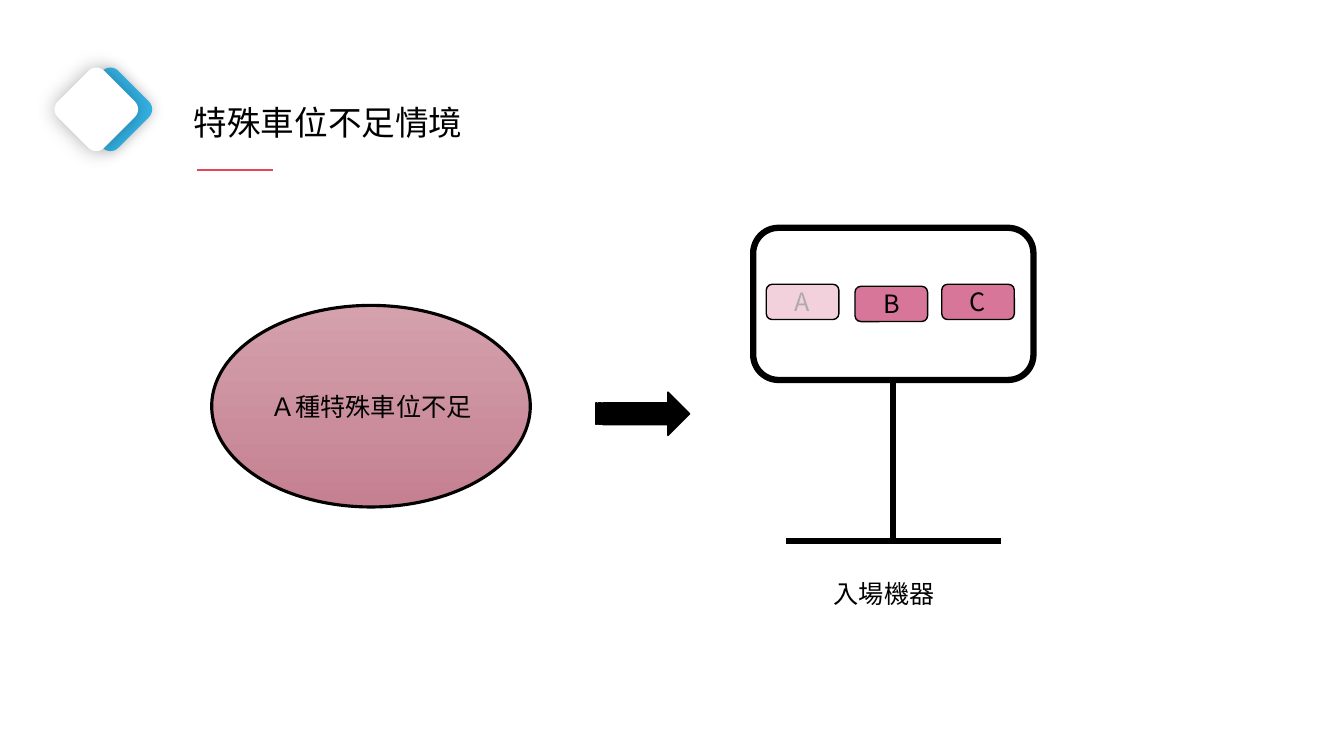
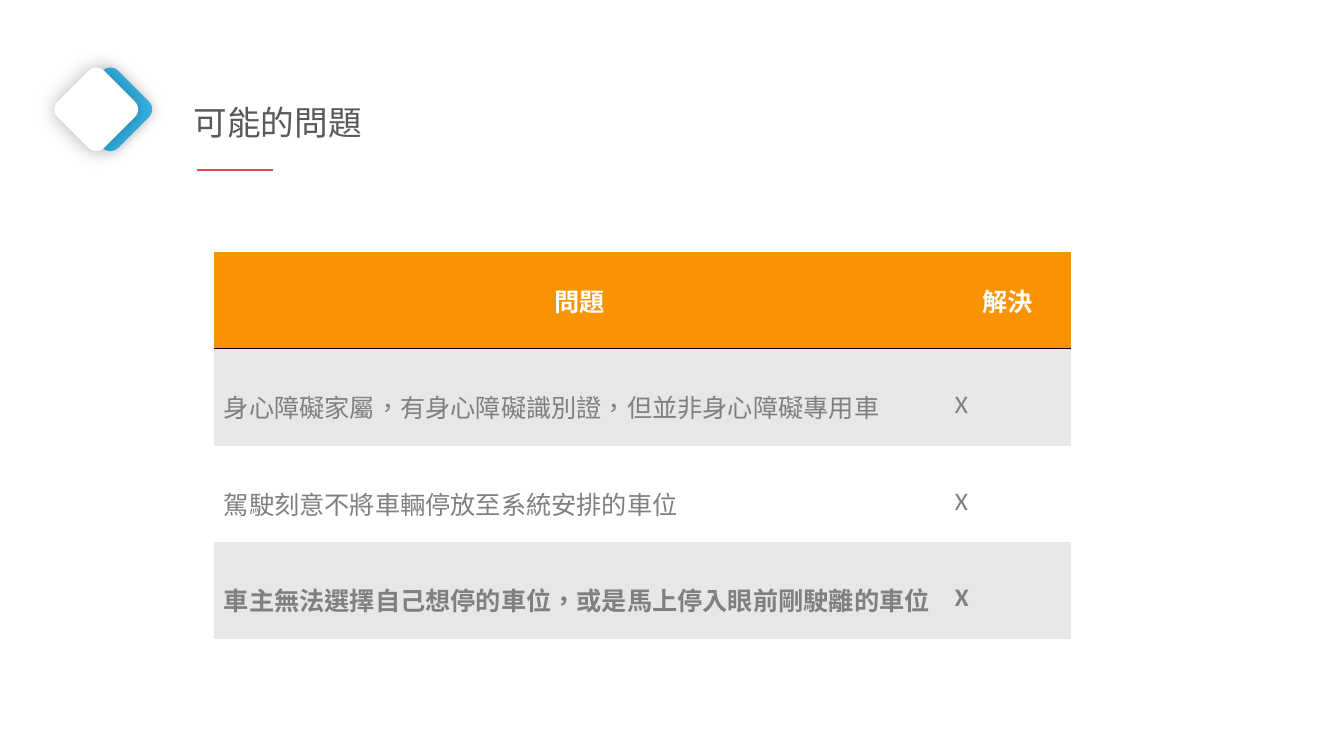
import lxml.etree
import pptx
import pptx.dml.color
import pptx.enum.dml
import pptx.enum.lang
import pptx.enum.shapes
import pptx.enum.text
import pptx.oxml
import pptx.oxml.ns
import pptx.util

Inches = pptx.util.Inches
Pt = pptx.util.Pt
qn = pptx.oxml.ns.qn
SHAPE = pptx.enum.shapes.MSO_SHAPE
ALIGN = pptx.enum.text.PP_ALIGN
ANCHOR = pptx.enum.text.MSO_ANCHOR

CJK_FONT = "Noto Sans CJK SC"
LATIN_FONT = "Calibri"
BLACK, WHITE, RED, BLUE = "000000", "FFFFFF", "E14956", "34B2E4"
ORANGE, STRIPE, GRAY, TITLE_GRAY = "F99302", "E7E7E7", "808080", "595959"
ROSE, PALE_ROSE, FADED = "D77699", "F2D1DD", "AFABAB"
NO_STYLE = "{2D5ABB26-0587-4C30-8999-92F81FD0307C}"


def rgb(value):
    """Turn a hex string into a colour."""
    return pptx.dml.color.RGBColor.from_string(value)


def write(frame, text, size=18, font=CJK_FONT, color=BLACK, bold=False,
          align=ALIGN.LEFT, spacing=1.0):
    """Write one formatted paragraph into a text frame."""
    paragraph = frame.paragraphs[0]
    paragraph.alignment = align
    paragraph.line_spacing = spacing
    run = paragraph.add_run()
    run.text = text
    run.font.size = Pt(size)
    run.font.name = font
    run.font.bold = bold
    run.font.color.rgb = rgb(color)
    run.font.language_id = pptx.enum.lang.MSO_LANGUAGE_ID.TRADITIONAL_CHINESE
    east_asian = lxml.etree.Element(qn("a:ea"), typeface=CJK_FONT)
    run.font._element.find(qn("a:latin")).addnext(east_asian)


def add_block(slide, preset, left, top, width, height, fill=None, line=None, weight=1):
    """Add a preset shape with a plain fill and outline."""
    block = slide.shapes.add_shape(
        preset, Inches(left), Inches(top), Inches(width), Inches(height))
    block.shadow.inherit = False
    if fill:
        block.fill.solid()
        block.fill.fore_color.rgb = rgb(fill)
    if line:
        block.line.color.rgb = rgb(line)
        block.line.width = Pt(weight)
    else:
        block.line.fill.background()
    return block


def label_block(block, text, **style):
    """Centre a label inside a shape."""
    frame = block.text_frame
    frame.word_wrap = True
    frame.vertical_anchor = ANCHOR.MIDDLE
    write(frame, text, align=ALIGN.CENTER, **style)


def add_rule(slide, x1, y1, x2, y2, color=BLACK, weight=4.5):
    """Add a straight line without a shadow."""
    rule = slide.shapes.add_connector(
        pptx.enum.shapes.MSO_CONNECTOR.STRAIGHT,
        Inches(x1), Inches(y1), Inches(x2), Inches(y2))
    rule.line.color.rgb = rgb(color)
    rule.line.width = Pt(weight)
    lxml.etree.SubElement(rule._element.spPr, qn("a:effectLst"))
    return rule


def add_diamond(slide, left, top, fill, opacity, blur):
    """Add a rounded diamond with a soft glow-like shadow."""
    diamond = add_block(slide, SHAPE.ROUNDED_RECTANGLE, left, top, 0.65, 0.65, fill)
    diamond.rotation = 45
    effects = diamond._element.spPr.find(qn("a:effectLst"))
    shadow = lxml.etree.SubElement(
        effects, qn("a:outerShdw"), blurRad=str(Pt(blur)), dist="0", dir="0",
        algn="ctr", rotWithShape="0")
    tint = lxml.etree.SubElement(shadow, qn("a:srgbClr"), val=BLACK)
    lxml.etree.SubElement(tint, qn("a:alpha"), val=str(opacity * 1000))


def add_titled_slide(deck, text, **style):
    """Add a slide with the shared title, underline and diamonds."""
    slide = deck.slides.add_slide(deck.slide_layouts[5])
    title = slide.shapes.title
    title.left, title.top = Inches(1.82), Inches(0.76)
    title.width, title.height = Inches(3.03), Inches(0.64)
    frame = title.text_frame
    frame.word_wrap = True
    frame.auto_size = pptx.enum.text.MSO_AUTO_SIZE.NONE
    frame.vertical_anchor = ANCHOR.TOP
    write(frame, text, size=24, spacing=1.5, **style)
    add_rule(slide, 1.95, 1.69, 2.71, 1.69, RED, 1.5)
    add_diamond(slide, 0.77, 0.76, BLUE, 20, 10)
    add_diamond(slide, 0.63, 0.76, WHITE, 30, 15)
    return slide


def add_condition(slide, left, top, width, height, text):
    """Draw the shaded oval that states the condition."""
    oval = add_block(slide, SHAPE.OVAL, left, top, width, height, line=BLACK, weight=2.25)
    oval.fill.gradient()
    oval.fill.gradient_angle = 270
    for stop, color in zip(oval.fill.gradient_stops, ("D4A1AC", "C58091")):
        stop.color.rgb = rgb(color)
    for position, stop in enumerate(oval.fill.gradient_stops):
        stop.position = position
    label_block(oval, text)


def add_entry_machine(slide, left, top):
    """Draw the entry machine: screen, buttons, stand and caption."""
    width, height, stand = 2.78, 1.51, 1.6
    middle, bottom = left + width / 2, top + height
    floor = bottom + stand
    screen = add_block(slide, SHAPE.ROUNDED_RECTANGLE, left, top, width, height,
                       WHITE, BLACK, 4.5)
    post = add_rule(slide, middle, bottom, middle, floor)
    post.begin_connect(screen, 2)
    add_rule(slide, middle - 1.06, floor, middle + 1.07, floor)
    buttons = [("A", 0.13, 0.56, PALE_ROSE, FADED),
               ("B", 1.01, 0.58, ROSE, BLACK),
               ("C", 1.87, 0.56, ROSE, BLACK)]
    for letter, dx, dy, fill, color in buttons:
        button = add_block(slide, SHAPE.ROUNDED_RECTANGLE, left + dx, top + dy,
                           0.72, 0.35, fill, BLACK)
        label_block(button, letter, color=color)
    caption = slide.shapes.add_textbox(
        Inches(left + 0.7), Inches(floor + 0.32), Inches(1.21), Inches(0.4))
    caption.text_frame.word_wrap = False
    write(caption.text_frame, "入場機器")


def underline_cell(cell):
    """Give a cell a thin black bottom border."""
    border = lxml.etree.Element(qn("a:lnB"), w=str(Pt(1)))
    fill = lxml.etree.SubElement(border, qn("a:solidFill"))
    lxml.etree.SubElement(fill, qn("a:srgbClr"), val=BLACK)
    cell._tc.get_or_add_tcPr().insert(0, border)


def add_issue_table(slide, left, top, widths, row_height, rows):
    """Place the table of issues, header row first."""
    frame = slide.shapes.add_table(
        len(rows), len(widths), Inches(left), Inches(top),
        Inches(sum(widths)), Inches(row_height * len(rows)))
    table = frame.table
    table.horz_banding = False
    table.first_row = False
    table._tbl.tblPr.find(qn("a:tableStyleId")).text = NO_STYLE
    for column, width in zip(table.columns, widths):
        column.width = Inches(width)
    for number, texts in enumerate(rows):
        header = number == 0
        fill = ORANGE if header else (STRIPE if number % 2 else WHITE)
        for cell, text in zip(table.rows[number].cells, texts):
            cell.fill.solid()
            cell.fill.fore_color.rgb = rgb(fill)
            cell.vertical_anchor = ANCHOR.MIDDLE
            write(cell.text_frame, text, font=LATIN_FONT,
                  color=WHITE if header else GRAY,
                  bold=number in (0, len(rows) - 1),
                  align=ALIGN.CENTER if header else ALIGN.JUSTIFY,
                  spacing=1.0 if header else 1.5)
            if header:
                underline_cell(cell)


def build_shortage_slide(deck):
    """Build the slide on the shortage of special parking spaces."""
    slide = add_titled_slide(deck, "特殊車位不足情境")
    add_condition(slide, 2.1, 3.03, 3.16, 2, "Ａ種特殊車位不足")
    add_block(slide, SHAPE.STRIPED_RIGHT_ARROW, 5.91, 3.89, 0.93, 0.43, BLACK, BLACK)
    add_entry_machine(slide, 7.47, 2.26)


def build_issues_slide(deck):
    """Build the slide that lists possible issues."""
    slide = add_titled_slide(deck, "可能的問題", font=LATIN_FONT, color=TITLE_GRAY)
    add_issue_table(slide, 2.12, 2.5, (7.25, 1.25), 0.96, [
        ("問題", "解決"),
        ("身心障礙家屬，有身心障礙識別證，但並非身心障礙專用車", "X"),
        ("駕駛刻意不將車輛停放至系統安排的車位", "X"),
        ("車主無法選擇自己想停的車位，或是馬上停入眼前剛駛離的車位", "X"),
    ])


def main():
    """Build and save the deck."""
    deck = pptx.Presentation()
    deck.slide_width, deck.slide_height = Inches(13.33), Inches(7.5)
    build_shortage_slide(deck)
    build_issues_slide(deck)
    deck.save("out.pptx")


if __name__ == "__main__":
    main()
